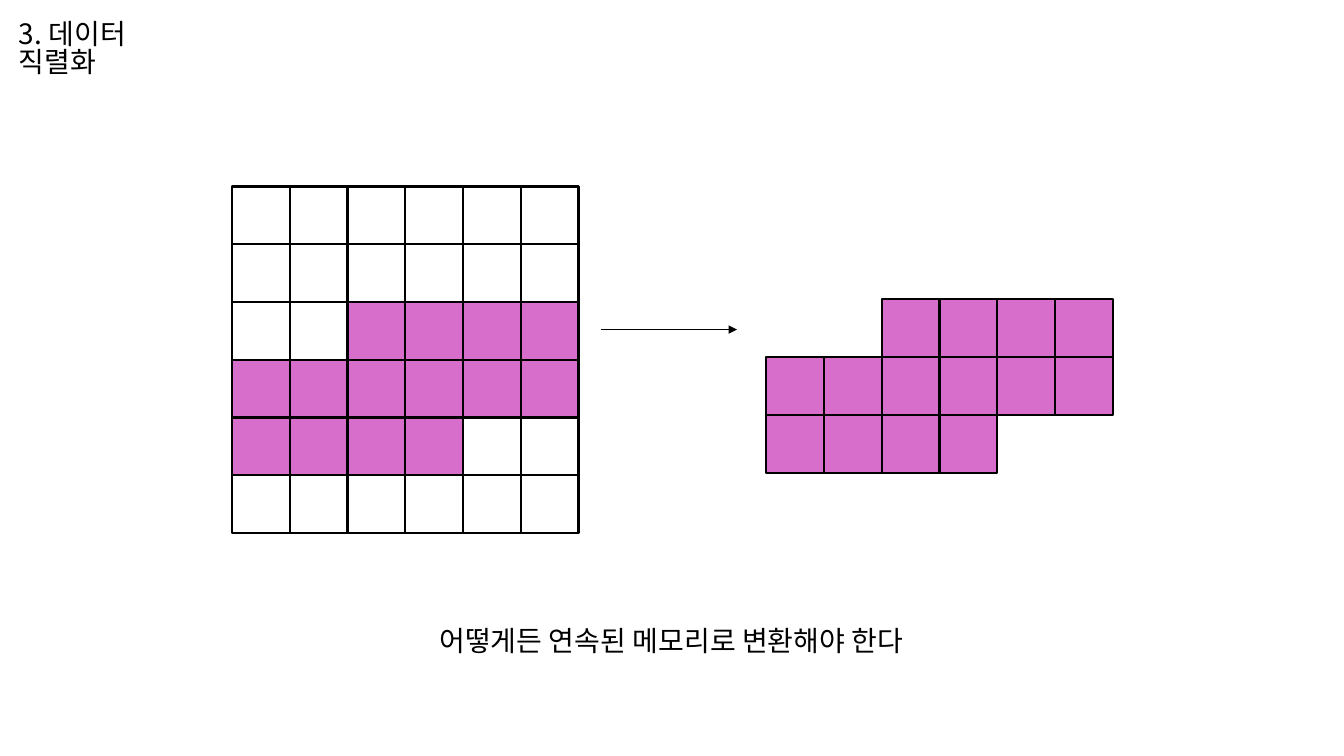
from lxml.etree import SubElement
from pptx import Presentation
from pptx.dml.color import RGBColor
from pptx.enum.shapes import MSO_CONNECTOR, MSO_SHAPE
from pptx.enum.text import MSO_AUTO_SIZE, PP_ALIGN
from pptx.oxml.ns import qn
from pptx.util import Inches, Pt

# Content: "#" is a filled cell, "." an empty one, " " no cell
FONT = "Noto Sans CJK KR"
BLACK, WHITE, PINK = "000000", "FFFFFF", "D86ECC"
FILLS = {"#": PINK, ".": WHITE}
SOURCE = ["......", "......", "..####", "######", "####..", "......"]
PACKED = ["  ####", "######", "####  "]
CELL = 0.573
ARROW = (5.96, 3.27, 7.31, 3.27)
TEXTS = [
    # text, box, frame format, alignment
    ("3. 데이터 직렬화", (0.09, 0.17, 2.17, 0.44),
     {"word_wrap": True, "margin_right": Inches(0.7)}, PP_ALIGN.LEFT),
    ("어떻게든 연속된 메모리로 변환해야 한다", (4.21, 6.19, 4.9, 0.44),
     {"word_wrap": False}, PP_ALIGN.CENTER),
]


def color(code):
    return RGBColor.from_string(code)


def style(item, values):
    for name, value in values.items():
        setattr(item, name, value)


def stroke(line, width):
    line.color.rgb = color(BLACK)
    line.width = Pt(width)


def text(shapes, words, box, form, align):
    frame = shapes.add_textbox(*map(Inches, box)).text_frame
    style(frame, {"auto_size": MSO_AUTO_SIZE.SHAPE_TO_FIT_TEXT, **form})
    para = frame.paragraphs[0]
    style(para, {"alignment": align, "line_spacing": 0.84})
    run = para.add_run()
    run.text = words
    style(run.font, {"name": FONT, "size": Pt(20)})
    run.font.color.rgb = color(BLACK)
    SubElement(run.font._element, qn("a:ea"), typeface=FONT)


def grid(shapes, rows, left, top):
    for r, row in enumerate(rows):
        for c, mark in enumerate(row):
            if mark not in FILLS:
                continue
            box = (left + c * CELL, top + r * CELL, CELL, CELL)
            cell = shapes.add_shape(MSO_SHAPE.RECTANGLE, *map(Inches, box))
            cell.shadow.inherit = False
            cell.fill.solid()
            cell.fill.fore_color.rgb = color(FILLS[mark])
            stroke(cell.line, 1.5)


def arrow(shapes, ends):
    link = shapes.add_connector(MSO_CONNECTOR.STRAIGHT, *map(Inches, ends))
    stroke(link.line, 1)
    SubElement(link.line._get_or_add_ln(), qn("a:tailEnd"), type="triangle")
    SubElement(link._element.spPr, qn("a:effectLst"))


def main():
    deck = Presentation()
    style(deck, {"slide_width": Inches(13.33), "slide_height": Inches(7.5)})
    shapes = deck.slides.add_slide(deck.slide_layouts[6]).shapes

    # Title and caption
    for entry in TEXTS:
        text(shapes, *entry)

    # Memory grid, arrow, packed block
    grid(shapes.add_group_shape().shapes, SOURCE, 2.3, 1.85)
    arrow(shapes, ARROW)
    grid(shapes, PACKED, 7.6, 2.97)

    deck.save("out.pptx")


if __name__ == "__main__":
    main()
